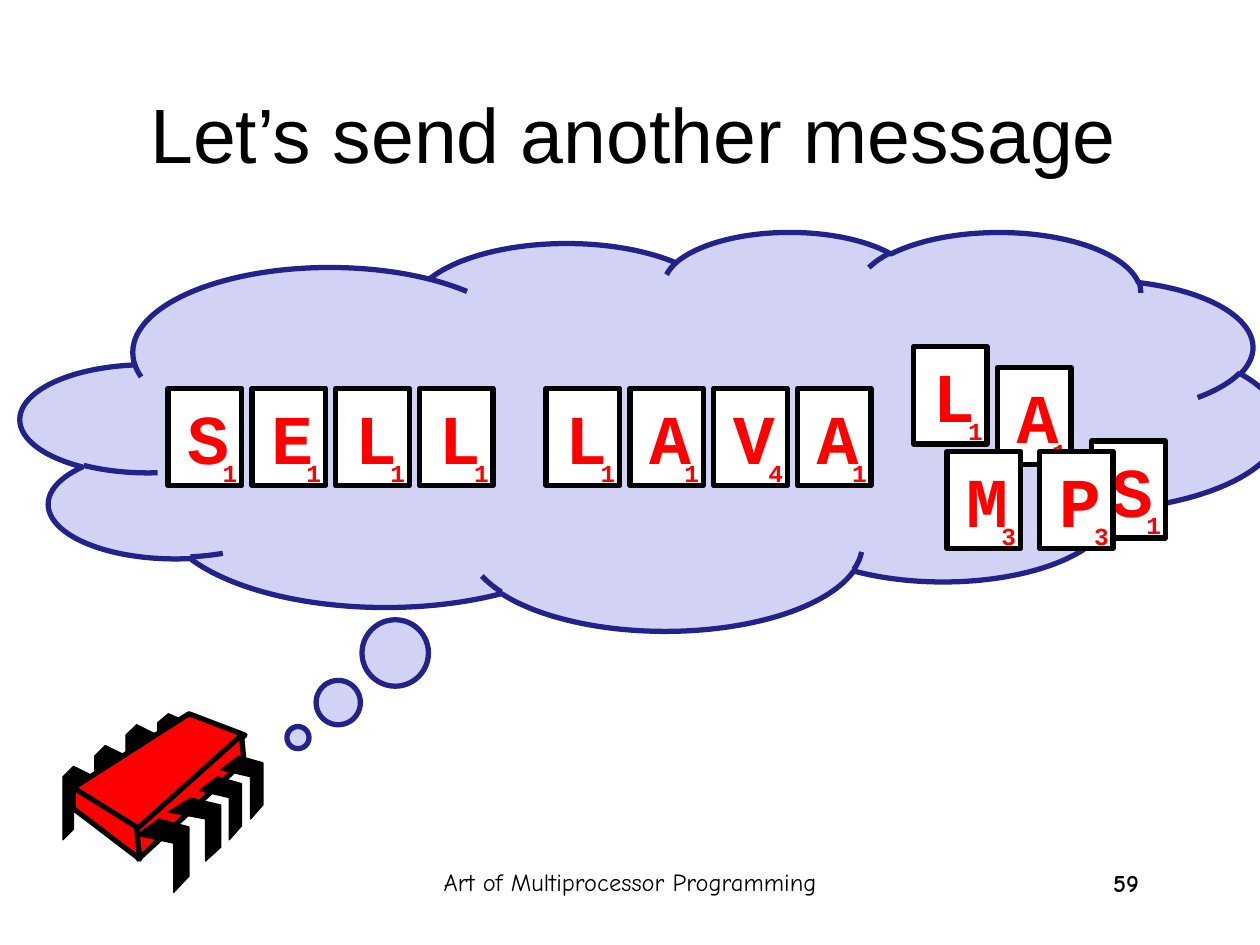
"""Build the slide on which a chip thinks of its next message in letter tiles."""
from dataclasses import dataclass

from pptx import Presentation
from pptx.dml.color import RGBColor as Rgb
from pptx.enum.shapes import MSO_SHAPE as Kind
from pptx.enum.text import MSO_ANCHOR as Anchor, MSO_AUTO_SIZE as Fit, PP_ALIGN as Align
from pptx.util import Cm, Pt


@dataclass(frozen=True)
class Theme:
    black: Rgb = Rgb(0, 0, 0)
    white: Rgb = Rgb(255, 255, 255)
    red: Rgb = Rgb(255, 0, 0)
    cloud: Rgb = Rgb(0xD2, 0xD2, 0xF4)
    edge: Rgb = Rgb(0x22, 0x22, 0x8B)
    head: str = "Arial"
    note: str = "Comic Neue"
    mono: str = "Courier New"
    title: float = 44
    letter: float = 40
    small: float = 14
    thick: float = 3
    thin: float = 0.75


@dataclass(frozen=True)
class Box:
    x: float
    y: float
    w: float
    h: float

    def place(self) -> tuple:
        return Cm(self.x), Cm(self.y), Cm(self.w), Cm(self.h)


@dataclass(frozen=True)
class Tile:
    letter: str
    x: float
    y: float


THEME = Theme()
TILE_W, TILE_H, PITCH, ROW_Y = 1.48, 1.96, 1.69, 7.83
SCORES = {"V": 4, "M": 3, "P": 3}
WORDS = (("SELL", 3.39), ("LAVA", 11.01))
LOOSE = (Tile("L", 18.42, 6.99), Tile("A", 20.11, 7.41),
         Tile("M", 19.09, 9.1), Tile("P", 20.96, 9.1))

REAR = ((1, 1 / 7), (1 / 3, 0), (0, 1 / 7), (0, 1), (1 / 3, 6 / 7), (1 / 3, 2 / 7), (1, 3 / 7))
FRONT = ((0.43, 0), (0, 0.22), (0.71, 0.33), (0.71, 1), (1, 0.78), (1, 0.11))
REAR_LEGS = (Box(1.27, 15.45, 0.64, 1.48), Box(1.91, 15.03, 0.64, 1.48),
             Box(2.54, 14.61, 0.64, 1.48), Box(3.18, 14.39, 0.64, 1.27))
FRONT_LEGS = (Box(2.75, 16.51, 1.06, 1.48), Box(3.39, 16.09, 1.06, 1.27),
              Box(4.02, 15.66, 0.85, 1.27), Box(4.45, 15.24, 0.85, 1.27))
FACES = (((3.81, 14.39), (1.48, 15.88), (2.8, 16.77), (4.94, 14.82)),
         ((4.87, 14.82), (2.75, 16.72), (2.79, 17.32), (4.92, 15.35)),
         ((1.48, 15.88), (1.48, 16.3), (2.82, 17.32), (2.75, 16.67)))


def paint(shape, fill: Rgb, line: Rgb, width: float) -> None:
    """Give a shape a flat fill and outline."""
    shape.shadow.inherit = False
    shape.fill.solid()
    shape.fill.fore_color.rgb = fill
    shape.line.color.rgb = line
    shape.line.width = Pt(width)


def write(shape, text: str, face: str, size: float, color: Rgb,
          align: Align, bold: bool = False):
    """Set one paragraph of text and return it."""
    para = shape.text_frame.paragraphs[0]
    para.text = text
    para.alignment = align
    font = para.font
    font.name, font.size, font.bold = face, Pt(size), bold
    font.color.rgb = color
    return para


def add_note(shapes, text: str, box: Box, align: Align, bold: bool = False) -> None:
    """Add a line of text at the foot of the slide."""
    note = shapes.add_textbox(*box.place())
    note.text_frame.word_wrap = True
    write(note, text, THEME.note, THEME.small, THEME.black, align, bold)


def add_tile(shapes, tile: Tile) -> None:
    """Add a letter tile with its score in the corner."""
    group = shapes.add_group_shape().shapes
    card = group.add_shape(Kind.RECTANGLE, *Box(tile.x, tile.y, TILE_W, TILE_H).place())
    paint(card, THEME.white, THEME.black, THEME.thick)
    frame = card.text_frame
    frame.word_wrap = True
    frame.vertical_anchor = Anchor.TOP
    frame.auto_size = Fit.SHAPE_TO_FIT_TEXT
    para = write(card, tile.letter, THEME.mono, THEME.letter, THEME.red, Align.RIGHT, True)
    para.space_before = Pt(25)
    score = group.add_textbox(*Box(tile.x + 0.85, tile.y + 1.27, 0.79, 0.86).place())
    score.text_frame.word_wrap = False
    score.text_frame.auto_size = Fit.SHAPE_TO_FIT_TEXT
    write(score, str(SCORES.get(tile.letter, 1)), THEME.mono, THEME.small,
          THEME.red, Align.RIGHT, True)


def add_shell(shapes, points: tuple, fill: Rgb, width: float) -> None:
    """Add a closed outline through points given in centimetres."""
    spots = [(Cm(x), Cm(y)) for x, y in points]
    pen = shapes.build_freeform(*spots[0])
    pen.add_line_segments(spots[1:], close=True)
    paint(pen.convert_to_shape(), fill, THEME.black, width)


def add_legs(shapes, form: tuple, boxes: tuple) -> None:
    """Fit one leg outline into each box."""
    for box in boxes:
        points = tuple((box.x + u * box.w, box.y + v * box.h) for u, v in form)
        add_shell(shapes, points, THEME.black, THEME.thin)


def add_chip(shapes) -> None:
    """Add the chip: rear legs, body, front legs."""
    group = shapes.add_group_shape().shapes
    add_legs(group, REAR, REAR_LEGS)
    for face in FACES:
        add_shell(group, face, THEME.red, THEME.thick)
    add_legs(group, FRONT, FRONT_LEGS)


def main() -> None:
    """Draw the slide and save it."""
    deck = Presentation()
    deck.slide_width, deck.slide_height = Cm(25.4), Cm(19.05)
    shapes = deck.slides.add_slide(deck.slide_layouts[5]).shapes

    title = shapes.title
    title.left, title.top, title.width, title.height = Box(1.98, 1.09, 21.59, 3.18).place()
    title.text_frame.vertical_anchor = Anchor.MIDDLE
    write(title, "Let’s send another message", THEME.head, THEME.title,
          THEME.black, Align.CENTER)

    cloud = shapes.add_shape(Kind.CLOUD_CALLOUT, *Box(0.42, 4.66, 25.4, 8.04).place())
    cloud.adjustments[0], cloud.adjustments[1] = -0.28, 0.77
    paint(cloud, THEME.cloud, THEME.edge, THEME.thick)

    add_tile(shapes, Tile("S", 22.01, 8.89))
    add_chip(shapes)
    for word, left in WORDS:
        for i, letter in enumerate(word):
            add_tile(shapes, Tile(letter, left + i * PITCH, ROW_Y))
    for tile in LOOSE:
        add_tile(shapes, tile)

    add_note(shapes, "Art of Multiprocessor Programming",
             Box(8.68, 17.35, 8.05, 1.27), Align.CENTER)
    add_note(shapes, "59", Box(17.93, 17.37, 5.28, 1.27), Align.RIGHT, True)
    deck.save("out.pptx")


if __name__ == "__main__":
    main()
